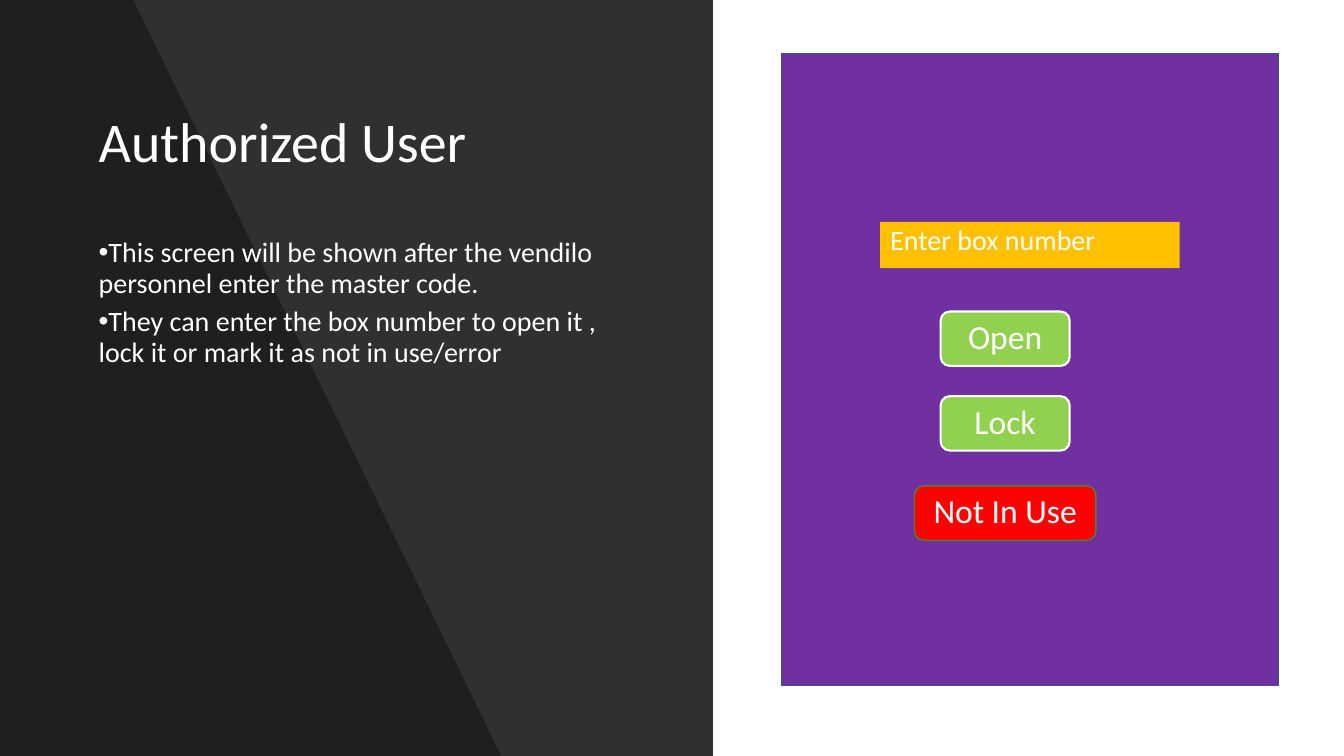
from lxml.etree import SubElement
from pptx import Presentation
from pptx.dml.color import RGBColor
from pptx.enum.shapes import MSO_SHAPE
from pptx.enum.text import MSO_ANCHOR, PP_ALIGN
from pptx.oxml.ns import qn
from pptx.util import Inches, Pt

COLORS = {
    "black": "000000", "white": "FFFFFF", "purple": "7030A0", "navy": "325491",
    "amber": "FFC000", "green": "92D050", "red": "FF0000", "moss": "538035",
}
FONT = "Calibri"


def rgb(name):
    return RGBColor.from_string(COLORS[name])


def within(box, x, y, w, h):
    """Box whose place and size are percentages of another box."""
    left, top, width, height = box
    return (int(left + width * x / 100), int(top + height * y / 100),
            int(width * w / 100), int(height * h / 100))


def paint(sp, fill, line=None, line_width=1, opacity=None):
    sp.shadow.inherit = False
    sp.fill.solid()
    sp.fill.fore_color.rgb = rgb(fill)
    if opacity is not None:
        color = sp.fill._xPr.find(qn("a:solidFill"))[0]
        SubElement(color, qn("a:alpha"), val=str(opacity * 1000))
    if line:
        sp.line.color.rgb = rgb(line)
        sp.line.width = Pt(line_width)
    else:
        sp.line.fill.background()


def add_box(shapes, kind, box, *style, **options):
    sp = shapes.add_shape(kind, *box)
    paint(sp, *style, **options)
    return sp


def write(sp, texts, size, anchor=MSO_ANCHOR.TOP, align=PP_ALIGN.LEFT, bullet=None):
    tf = sp.text_frame
    tf.word_wrap = True
    tf.vertical_anchor = anchor
    for i, text in enumerate(texts):
        p = tf.add_paragraph() if i else tf.paragraphs[0]
        p.alignment = align
        p.line_spacing = 0.9
        p.space_after = Pt(6)
        if bullet:
            pPr = p._p.get_or_add_pPr()
            pPr.set("marL", "0")
            pPr.set("indent", str(-Inches(0.25)))
            SubElement(pPr, qn("a:buFont"), typeface="Arial")
            SubElement(pPr, qn("a:buChar"), char=bullet)
        r = p.add_run()
        r.text = text
        r.font.name = FONT
        r.font.size = Pt(size)
        r.font.color.rgb = rgb("white")


def add_description(shapes, box):
    """Dark side with a slanted wedge, the title and the bullets."""
    add_box(shapes, MSO_SHAPE.RECTANGLE, box, "black", opacity=81)

    left, top, width, height = box
    wedge = shapes.build_freeform(left, top)
    wedge.add_line_segments([
        (int(left + width * 0.187), top),
        (int(left + width * 0.703), top + height),
        (left, top + height),
    ])
    paint(wedge.convert_to_shape(), "black", opacity=35)

    title = shapes.add_textbox(*within(box, 12.45, 9.33, 79.77, 19.6))
    write(title, ["Authorized User"], 40, MSO_ANCHOR.MIDDLE)
    body = shapes.add_textbox(*within(box, 12.45, 30.93, 79.77, 55.07))
    write(body, [
        "This screen will be shown after the vendilo personnel enter the master code.",
        "They can enter the box number to open it , lock it or mark it as not in use/error",
    ], 20, bullet="•")


def add_screen(shapes, box):
    """Mock-up of the screen: an entry field above a column of buttons."""
    add_box(shapes, MSO_SHAPE.RECTANGLE, box, "purple", "navy")
    field = add_box(shapes, MSO_SHAPE.RECTANGLE,
                    within(box, 19.88, 26.63, 60.24, 7.34), "amber")
    write(field, ["Enter box number"], 20)

    center = 45.03
    buttons = [
        ("Open", 40.83, 25.96, "green", "white", 1.5),
        ("Lock", 54.23, 25.96, "green", "white", 1.5),
        ("Not In Use", 68.42, 36.51, "red", "moss", 1),
    ]
    for label, top, width, *style in buttons:
        place = within(box, center - width / 2, top, width, 8.61)
        button = add_box(shapes, MSO_SHAPE.ROUNDED_RECTANGLE, place, *style)
        write(button, [label], 24, MSO_ANCHOR.MIDDLE, PP_ALIGN.CENTER)


def main():
    prs = Presentation()
    prs.slide_width, prs.slide_height = Inches(13.33), Inches(7.5)
    page = (0, 0, prs.slide_width, prs.slide_height)
    s = prs.slides.add_slide(prs.slide_layouts[6])
    s.background.fill.solid()
    s.background.fill.fore_color.rgb = rgb("black")

    add_box(s.shapes, MSO_SHAPE.RECTANGLE, page, "white")
    add_description(s.shapes, within(page, 0, 0, 53.04, 100))
    screen = s.shapes.add_group_shape()
    add_screen(screen.shapes, within(page, 58.14, 7.07, 36.98, 83.6))
    prs.save("out.pptx")


if __name__ == "__main__":
    main()
